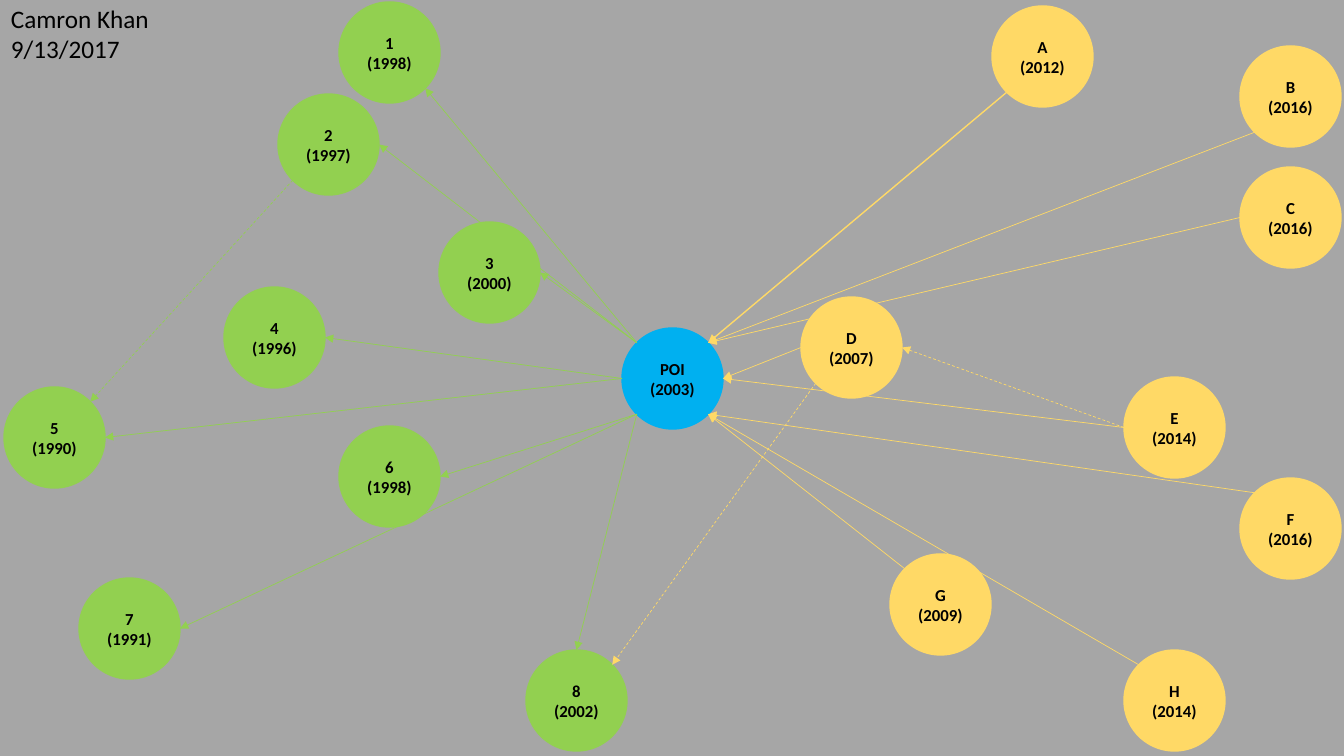
import math

import lxml.etree
import pptx
import pptx.dml.color
import pptx.enum.dml
import pptx.enum.shapes
import pptx.enum.text
import pptx.oxml.ns
import pptx.util

EMU_PER_PX = 914400 / 100.8
DIAMETER = 101
GREEN, YELLOW, BLUE = "92D050", "FFD966", "00B0F0"

# Connection sites of an ellipse, counted anticlockwise from the top
TOP, TOP_LEFT, LEFT, BOTTOM_LEFT, BOTTOM, BOTTOM_RIGHT, RIGHT, TOP_RIGHT = range(8)

# name, year, left, top
EARLIER = [
    ("1", 1998, 339, 2), ("2", 1997, 278, 94), ("3", 2000, 439, 222),
    ("4", 1996, 224, 287), ("5", 1990, 4, 387), ("6", 1998, 339, 426),
    ("7", 1991, 79, 578), ("8", 2002, 526, 650),
]
LATER = [
    ("A", 2012, 992, 6), ("B", 2016, 1240, 46), ("C", 2016, 1240, 167),
    ("E", 2014, 1124, 377), ("F", 2016, 1240, 478), ("G", 2009, 890, 554),
    ("H", 2014, 1124, 650), ("D", 2007, 801, 297),
]
# circle, its site, site on POI
TO_POI = [
    ("A", BOTTOM_LEFT, TOP_RIGHT), ("B", BOTTOM_LEFT, TOP_RIGHT),
    ("C", LEFT, TOP_RIGHT), ("D", LEFT, RIGHT), ("E", LEFT, RIGHT),
    ("F", TOP_LEFT, BOTTOM_RIGHT), ("G", TOP_LEFT, BOTTOM_RIGHT),
    ("H", TOP_LEFT, BOTTOM_RIGHT),
]
# site on POI, circle, its site
FROM_POI = [
    (TOP_LEFT, "1", BOTTOM_RIGHT), (TOP_LEFT, "2", RIGHT), (TOP_LEFT, "3", RIGHT),
    (LEFT, "4", RIGHT), (LEFT, "5", RIGHT), (BOTTOM_LEFT, "6", RIGHT),
    (BOTTOM_LEFT, "7", RIGHT), (BOTTOM_LEFT, "8", TOP),
]
# start, site, end, site, colour
INDIRECT = [
    ("2", BOTTOM_LEFT, "5", TOP_RIGHT, GREEN),
    ("D", BOTTOM_LEFT, "8", TOP_RIGHT, YELLOW),
    ("E", LEFT, "D", RIGHT, YELLOW),
]


def px(length):
    return pptx.util.Emu(round(length * EMU_PER_PX))


def colour(code):
    return pptx.dml.color.RGBColor.from_string(code)


class Diagram:
    font = "Calibri"
    text_colour = "000000"

    def __init__(self, page, background):
        self.page = page
        self.circles = {}
        fill = page.background.fill
        fill.solid()
        fill.fore_color.rgb = colour(background)

    def set_text(self, frame, text, size=12, bold=False, align=None):
        """Fill a text frame, one paragraph for each line of text."""
        frame.word_wrap = True
        for number, line in enumerate(text.split("\n")):
            para = frame.add_paragraph() if number else frame.paragraphs[0]
            para.alignment = align
            span = para.add_run()
            span.text = line
            span.font.name = self.font
            span.font.size = pptx.util.Pt(size)
            span.font.bold = bold
            span.font.color.rgb = colour(self.text_colour)

    def label(self, text, left, top, width, height, size):
        box = self.page.shapes.add_textbox(px(left), px(top), px(width), px(height))
        box.text_frame.auto_size = pptx.enum.text.MSO_AUTO_SIZE.SHAPE_TO_FIT_TEXT
        self.set_text(box.text_frame, text, size=size)

    def circle(self, name, year, left, top, fill):
        shape = self.page.shapes.add_shape(
            pptx.enum.shapes.MSO_SHAPE.OVAL,
            px(left), px(top), px(DIAMETER), px(DIAMETER))
        shape.shadow.inherit = False
        shape.fill.solid()
        shape.fill.fore_color.rgb = colour(fill)
        shape.line.color.rgb = colour(fill)
        shape.line.width = pptx.util.Pt(1)
        shape.text_frame.vertical_anchor = pptx.enum.text.MSO_ANCHOR.MIDDLE
        self.set_text(shape.text_frame, f"{name}\n({year})", bold=True,
                      align=pptx.enum.text.PP_ALIGN.CENTER)
        self.circles[name] = shape

    def site_point(self, name, site):
        """Return the place of a connection site on a circle's rim, in EMU."""
        shape = self.circles[name]
        angle = math.radians(90 + 45 * site)
        radius = shape.width / 2
        return (round(shape.left + radius * (1 + math.cos(angle))),
                round(shape.top + radius * (1 - math.sin(angle))))

    def arrow(self, start, start_site, end, end_site, code, width=0.5, dashed=False):
        qn = pptx.oxml.ns.qn
        link = self.page.shapes.add_connector(
            pptx.enum.shapes.MSO_CONNECTOR.STRAIGHT,
            *self.site_point(start, start_site), *self.site_point(end, end_site))
        link.line.color.rgb = colour(code)
        link.line.width = pptx.util.Pt(width)
        if dashed:
            link.line.dash_style = pptx.enum.dml.MSO_LINE.DASH
        element = link._element
        joints = element.find(".//" + qn("p:cNvCxnSpPr"))
        for tag, name, site in (("a:stCxn", start, start_site), ("a:endCxn", end, end_site)):
            lxml.etree.SubElement(joints, qn(tag), id=str(self.circles[name].shape_id),
                                  idx=str(site))
        lxml.etree.SubElement(element.find(".//" + qn("a:ln")), qn("a:tailEnd"),
                              type="triangle")
        lxml.etree.SubElement(element.spPr, qn("a:effectLst"))


def main():
    deck = pptx.Presentation()
    deck.slide_width, deck.slide_height = px(1344), px(756)
    diagram = Diagram(deck.slides.add_slide(deck.slide_layouts[6]), "A6A6A6")

    diagram.circle("POI", 2003, 622, 328, BLUE)
    for group, fill in ((LATER, YELLOW), (EARLIER, GREEN)):
        for circle in group:
            diagram.circle(*circle, fill)

    for name, site, poi_site in TO_POI:
        diagram.arrow(name, site, "POI", poi_site, YELLOW, width=1 if name == "A" else 0.5)
    for poi_site, name, site in FROM_POI:
        diagram.arrow("POI", poi_site, name, site, GREEN)
    for link in INDIRECT:
        diagram.arrow(*link, dashed=True)

    diagram.label("Camron Khan\n9/13/2017", 1, -2, 274, 72, size=18)
    deck.save("out.pptx")


if __name__ == "__main__":
    main()
